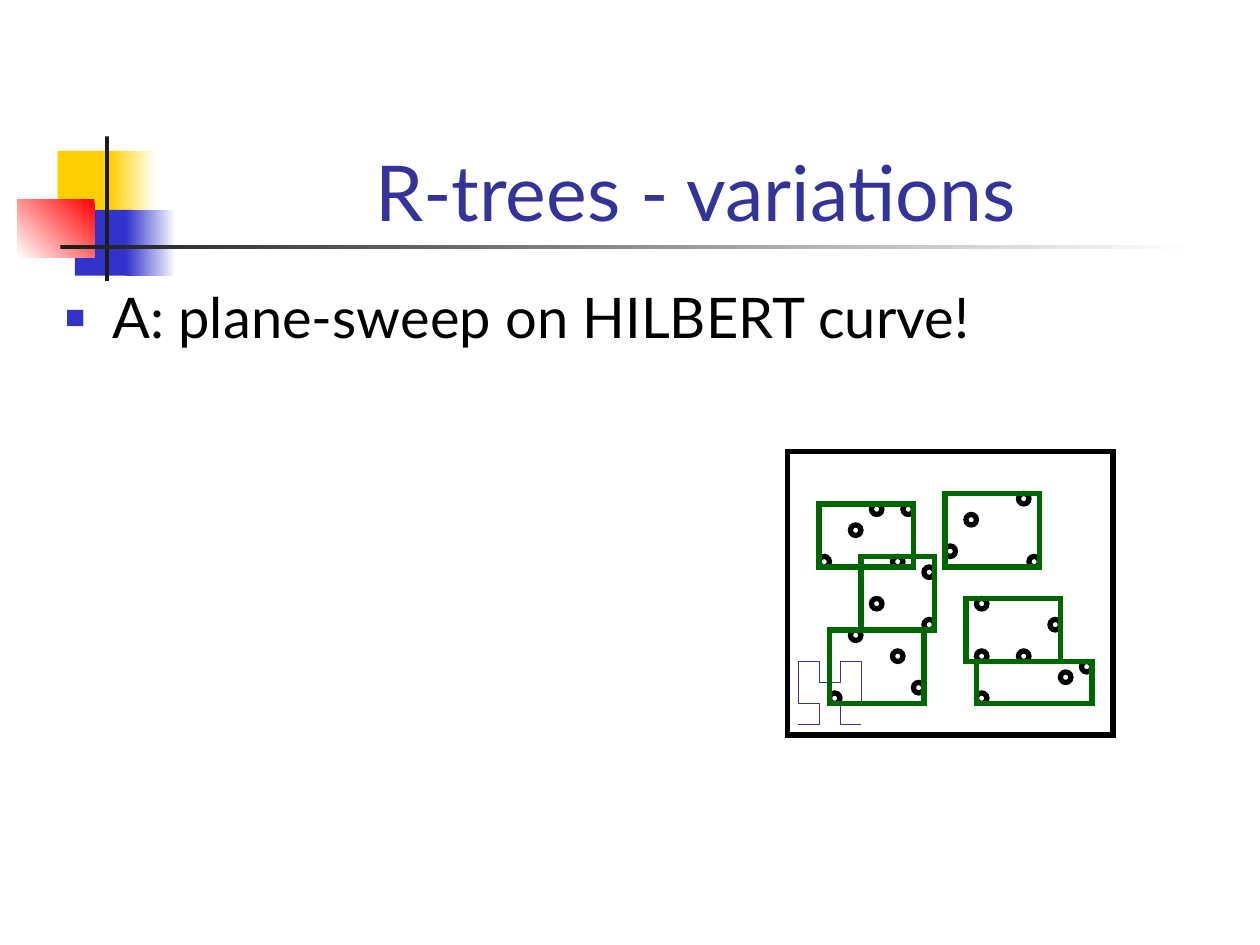
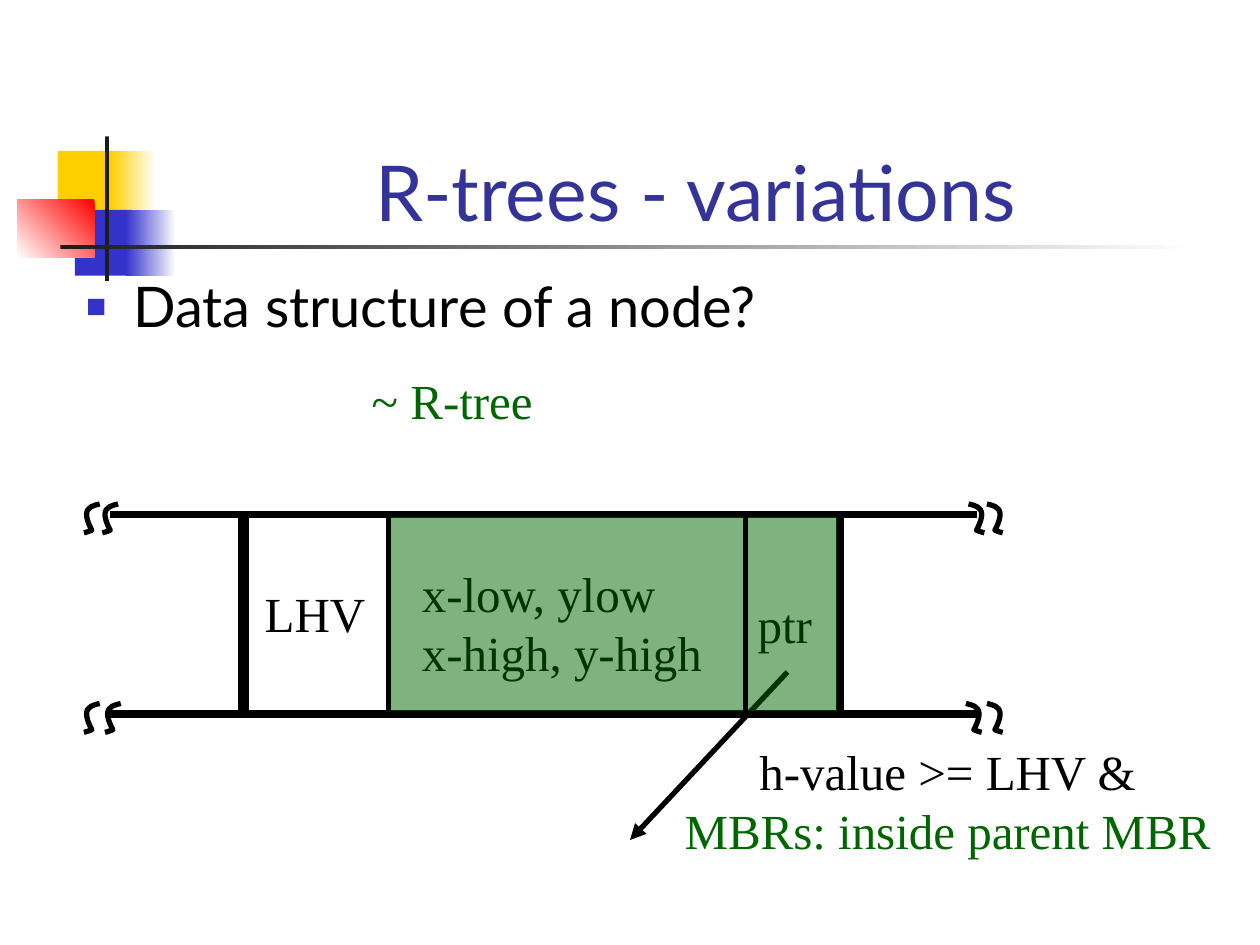
from dataclasses import dataclass

from lxml import etree
from pptx import Presentation, util as u
from pptx.dml.color import RGBColor
from pptx.enum import shapes as shp, text as txt
from pptx.oxml.ns import qn

PX = 9525  # EMU per px, 96 px to the inch


@dataclass(frozen=True)
class Theme:
    heading_font: str = "Lato"
    label_font: str = "Times New Roman"
    title_size: int = 44
    body_size: int = 32
    label_size: int = 28
    ink: str = "000000"
    title: str = "333399"
    blue: str = "3333CC"
    yellow: str = "FFCF01"
    red: str = "FF0000"
    rule: str = "1C1C1C"
    green: str = "006600"
    white: str = "FFFFFF"
    thin: float = 0.25
    medium: float = 3
    thick: float = 4.5


T = Theme()
RECT = shp.MSO_SHAPE.RECTANGLE
OVAL = shp.MSO_SHAPE.OVAL

# Slide 1: lengths in cells, measured from the corner of the map
MAP_LEFT, MAP_TOP, CELL = 600, 344, 8
POINTS = [
    (4, 23), (6, 17), (10, 19), (12, 22),
    (8, 14), (13, 11), (13, 16),
    (3, 10), (6, 7), (8, 5), (10, 10), (11, 5),
    (15, 9), (17, 6), (22, 4), (23, 10),
    (18, 14), (18, 19), (22, 19), (25, 16),
    (18, 23), (26, 21), (28, 20),
]
MBRS = [(4, 17, 9, 7), (7, 10, 7, 7), (3, 5, 9, 6),
        (15, 4, 9, 7), (17, 14, 9, 6), (18, 20, 11, 4)]
HILBERT = [(0, 0), (1, 0), (1, 1), (0, 1), (0, 2), (0, 3), (1, 3), (1, 2),
           (2, 2), (2, 3), (3, 3), (3, 2), (3, 1), (2, 1), (2, 0), (3, 0)]

# Slide 2: the node and its field borders
NODE_TOP, NODE_BOTTOM = 392, 544
NODE_LEFT, MBR_LEFT, PTR_LEFT, NODE_RIGHT = 184, 296, 568, 640
# Start point, then three points for each Bézier segment
BREAK_MARK = [(0, 0), (4, 1), (10, 2), (10, 8),
              (10, 13), (6, 20), (6, 20), (8, 21), (12, 22), (12, 22)]


def rgb(color):
    return RGBColor.from_string(color)


def emu(*lengths):
    return [round(length * PX) for length in lengths]


def set_line(shape, color, width):
    shape.line.color.rgb = rgb(color)
    shape.line.width = u.Pt(width)


def add_block(slide, box, fill=None, line=None, kind=RECT, alpha=None):
    """Add a preset shape; fill is a colour or None, line a (colour, width) or None."""
    block = slide.shapes.add_shape(kind, *emu(*box))
    block.shadow.inherit = False
    if fill:
        block.fill.solid()
        block.fill.fore_color.rgb = rgb(fill)
    else:
        block.fill.background()
    if alpha is not None:
        color = block.element.spPr.find(qn("a:solidFill"))[0]
        etree.SubElement(color, qn("a:alpha")).set("val", str(alpha * 1000))
    if line:
        set_line(block, *line)
        outline = block.element.spPr.find(qn("a:ln"))
        etree.SubElement(outline, qn("a:miter")).set("lim", "800000")
    else:
        block.line.fill.background()
    return block


def add_fade(slide, box, color, angle=0):
    """Add a block that fades from the colour to white."""
    fade = add_block(slide, box)
    fade.fill.gradient()
    fade.fill.gradient_angle = angle
    for stop, shade in zip(fade.fill.gradient_stops, (color, T.white)):
        stop.color.rgb = rgb(shade)
    return fade


def add_line(slide, start, end, width, arrow=False):
    line = slide.shapes.add_connector(
        shp.MSO_CONNECTOR.STRAIGHT, *emu(*start, *end))
    set_line(line, T.ink, width)
    if arrow:
        stroke = line.element.spPr.find(qn("a:ln"))
        etree.SubElement(stroke, qn("a:tailEnd")).set("type", "triangle")
    etree.SubElement(line.element.spPr, qn("a:effectLst"))


def add_outline(slide, points, color, width):
    start, *rest = [emu(*point) for point in points]
    builder = slide.shapes.build_freeform(*start)
    builder.add_line_segments(rest, close=False)
    outline = builder.convert_to_shape()
    outline.shadow.inherit = False
    outline.fill.background()
    set_line(outline, color, width)
    return outline


def curve_outline(outline):
    """Turn every three straight segments into one Bézier segment."""
    segments = list(outline.element.iter(qn("a:lnTo")))
    for first in range(0, len(segments), 3):
        bezier = etree.Element(qn("a:cubicBezTo"))
        segments[first].addprevious(bezier)
        for segment in segments[first:first + 3]:
            bezier.append(segment[0])
            segment.getparent().remove(segment)


def format_runs(paragraph, font, size, color):
    for run in paragraph.runs:
        run.font.name = font
        run.font.size = u.Pt(size)
        run.font.color.rgb = rgb(color)


def add_label(slide, box, lines, align=txt.PP_ALIGN.CENTER):
    """Add an unwrapped label from (wording, colour) lines."""
    frame = slide.shapes.add_textbox(*emu(*box)).text_frame
    frame.word_wrap = False
    frame.auto_size = txt.MSO_AUTO_SIZE.SHAPE_TO_FIT_TEXT
    frame.vertical_anchor = txt.MSO_ANCHOR.MIDDLE
    frame.text = "\n".join(wording for wording, _ in lines)
    for paragraph, (_, color) in zip(frame.paragraphs, lines):
        paragraph.alignment = align
        format_runs(paragraph, T.label_font, T.label_size, color)


def fill_placeholder(holder, box, wording, anchor):
    holder.left, holder.top, holder.width, holder.height = emu(*box)
    frame = holder.text_frame
    frame.text = wording
    frame.auto_size = txt.MSO_AUTO_SIZE.NONE
    frame.vertical_anchor = anchor
    return frame.paragraphs[0]


def add_bullet(paragraph):
    props = paragraph._p.get_or_add_pPr()
    props.set("marL", str(36 * PX))
    props.set("indent", str(-36 * PX))
    color = etree.SubElement(props, qn("a:buClr"))
    etree.SubElement(color, qn("a:srgbClr")).set("val", T.blue)
    etree.SubElement(props, qn("a:buSzPct")).set("val", "60000")
    etree.SubElement(props, qn("a:buFont")).set("typeface", "Arial")
    etree.SubElement(props, qn("a:buChar")).set("char", "■")


def new_slide(prs, bullet, bullet_box):
    slide = prs.slides.add_slide(prs.slide_layouts[1])
    title = fill_placeholder(slide.shapes.title, (121, 65, 818, 120),
                             "R-trees - variations", txt.MSO_ANCHOR.BOTTOM)
    title.alignment = txt.PP_ALIGN.CENTER
    format_runs(title, T.heading_font, T.title_size, T.title)
    item = fill_placeholder(slide.placeholders[1], bullet_box, bullet,
                            txt.MSO_ANCHOR.TOP)
    add_bullet(item)
    item.line_spacing = 0.9
    item.space_before = u.Pt(0)
    format_runs(item, T.heading_font, T.body_size, T.ink)
    return slide


def decorate_master(prs, slide):
    """Build the corner squares and rules, then move them to the master."""
    decorations = [
        add_block(slide, (44, 115, 46, 50), T.yellow),
        add_fade(slide, (84, 115, 35, 50), T.yellow),
        add_block(slide, (57, 160, 44, 50), T.blue),
        add_fade(slide, (96, 160, 38, 50), T.blue),
        add_fade(slide, (13, 152, 59, 44), T.red, angle=225),
        add_block(slide, (80, 104, 3, 110), T.rule),
        add_fade(slide, (46, 187, 864, 3), T.rule),
    ]
    tree = prs.slide_master.shapes.element
    for order, decoration in enumerate(decorations):
        decoration.element.nvSpPr.cNvPr.set("id", str(100 + order))
        tree.insert(2 + order, decoration.element)


def map_box(x, y, width, height):
    return (MAP_LEFT + x * CELL, MAP_TOP + y * CELL, width * CELL, height * CELL)


def draw_hilbert_map(slide):
    add_block(slide, map_box(0, 0, 31, 27), line=(T.ink, T.medium))
    for x, y in POINTS:
        add_block(slide, map_box(x, y, 1, 1), line=(T.ink, T.medium), kind=OVAL)
    curve = [map_box(1 + 2 * x, 26 - 2 * y, 0, 0)[:2] for x, y in HILBERT]
    add_outline(slide, curve, T.title, T.thin)
    for mbr in MBRS:
        add_block(slide, map_box(*mbr), line=(T.green, T.medium))


def add_break_mark(slide, left, top, side):
    """Add a torn-edge squiggle; side is 1 on the right, -1 mirrored."""
    points = [(left + side * x, top + y) for x, y in BREAK_MARK]
    curve_outline(add_outline(slide, points, T.ink, T.medium))


def draw_node(slide):
    add_block(slide, (NODE_LEFT, NODE_TOP, NODE_RIGHT - NODE_LEFT,
                      NODE_BOTTOM - NODE_TOP), line=(T.ink, T.thick))
    for x in (NODE_LEFT + 4, MBR_LEFT, PTR_LEFT, NODE_RIGHT):
        add_line(slide, (x, NODE_TOP), (x, NODE_BOTTOM), T.medium)
    for y in (NODE_TOP, NODE_BOTTOM):
        add_line(slide, (NODE_RIGHT, y), (744, y), T.thick)
        add_line(slide, (NODE_LEFT + 4, y), (84, y), T.thick)
    for left, top, side in [(738, 384, 1), (752, 384, 1), (736, 536, 1), (752, 536, 1),
                            (90, 384, -1), (76, 384, -1), (92, 536, -1), (76, 536, -1)]:
        add_break_mark(slide, left, top, side)

    add_label(slide, (192, 440, 96, 54), [("LHV", T.ink)])
    add_label(slide, (312, 424, 240, 100),
              [("x-low, ylow", T.ink), ("x-high, y-high", T.ink)],
              txt.PP_ALIGN.LEFT)
    add_label(slide, (566, 448, 64, 55), [("ptr", T.ink)])
    add_line(slide, (600, 512), (480, 640), T.medium, arrow=True)
    add_label(slide, (510, 560, 424, 100),
              [("h-value >= LHV &", T.ink), ("MBRs: inside parent MBR", T.green)])
    for left, right in [(MBR_LEFT, PTR_LEFT), (PTR_LEFT, NODE_RIGHT)]:
        add_block(slide, (left, NODE_TOP, right - left, NODE_BOTTOM - NODE_TOP),
                  T.green, (T.ink, T.medium), alpha=50)
    add_label(slide, (272, 277, 145, 55), [("~ R-tree", T.green)])


def main():
    prs = Presentation()
    prs.slide_width, prs.slide_height = emu(960, 720)

    hilbert = new_slide(prs, "A: plane-sweep on HILBERT curve!", (40, 216, 864, 432))
    decorate_master(prs, hilbert)
    draw_hilbert_map(hilbert)

    node = new_slide(prs, "Data structure of a node?", (56, 208, 808, 72))
    draw_node(node)

    prs.save("out.pptx")


if __name__ == "__main__":
    main()
